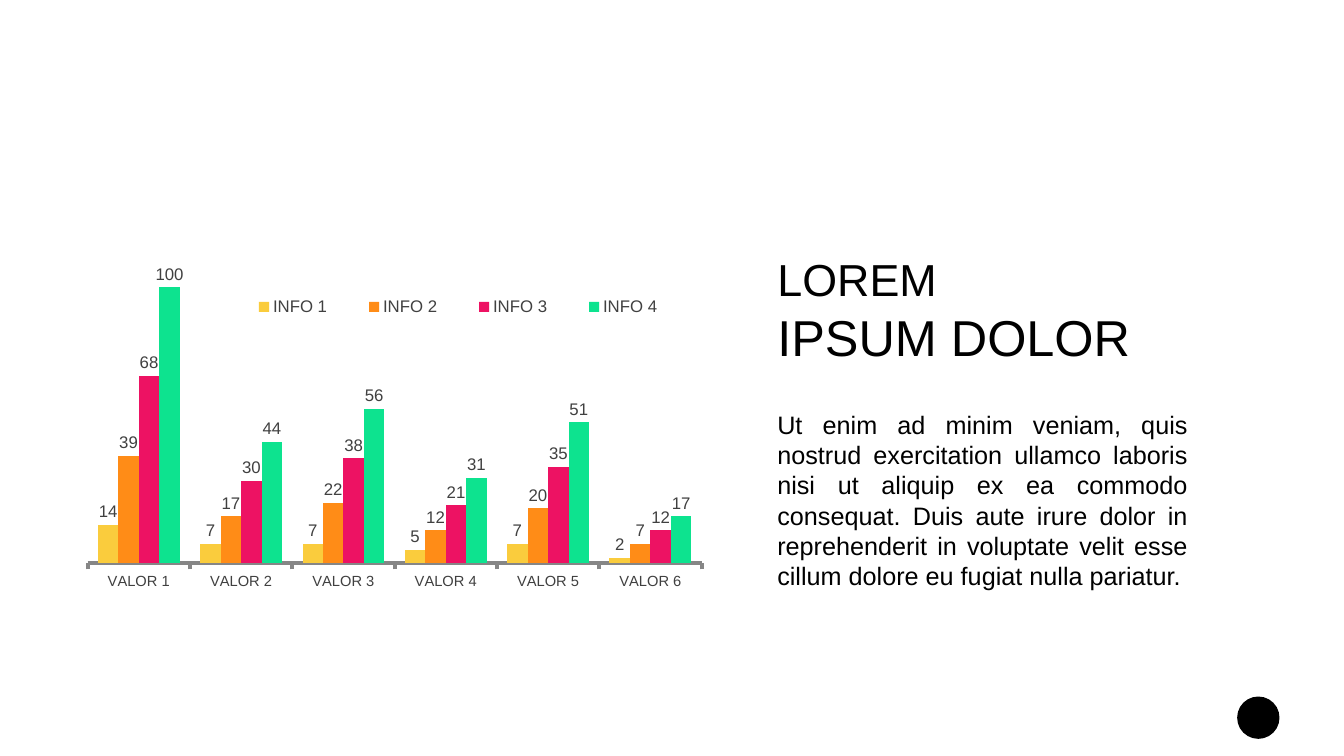
from dataclasses import dataclass

from lxml import etree
from pptx import Presentation
from pptx.chart.data import CategoryChartData
from pptx.dml.color import RGBColor
from pptx.enum.chart import (
    XL_CHART_TYPE,
    XL_LABEL_POSITION,
    XL_LEGEND_POSITION,
    XL_TICK_LABEL_POSITION,
    XL_TICK_MARK,
)
from pptx.enum.shapes import MSO_SHAPE
from pptx.enum.text import MSO_ANCHOR, MSO_AUTO_SIZE, PP_ALIGN
from pptx.oxml.ns import qn
from pptx.util import Emu, Pt

COLUMNS = XL_CHART_TYPE.COLUMN_CLUSTERED
OUTSIDE_END = XL_LABEL_POSITION.OUTSIDE_END
LEGEND_TOP = XL_LEGEND_POSITION.TOP
LABELS_LOW = XL_TICK_LABEL_POSITION.LOW
TICK_OUTSIDE = XL_TICK_MARK.OUTSIDE
TICK_NONE = XL_TICK_MARK.NONE
OVAL = MSO_SHAPE.OVAL
ANCHOR_TOP = MSO_ANCHOR.TOP
GROW = MSO_AUTO_SIZE.SHAPE_TO_FIT_TEXT
FIXED = MSO_AUTO_SIZE.NONE
LEFT = PP_ALIGN.LEFT
JUSTIFY = PP_ALIGN.JUSTIFY

EMU_PER_PX = 9144
FONT = "Arial"
BLACK = "000000"
CHART_TEXT = "404040"
AXIS_GRAY = "868686"
NUMBER_FORMAT = "#,##0"


@dataclass(frozen=True)
class Area:
    left: int
    top: int
    width: int
    height: int

    def emu(self) -> tuple[Emu, Emu, Emu, Emu]:
        return px(self.left), px(self.top), px(self.width), px(self.height)


@dataclass(frozen=True)
class TextBlock:
    area: Area
    lines: tuple[tuple[str, int], ...]
    align: PP_ALIGN
    auto_size: MSO_AUTO_SIZE


@dataclass(frozen=True)
class Series:
    name: str
    values: tuple[int, ...]
    color: str


TEXT_BLOCKS = (
    TextBlock(Area(763, 242, 391, 130), (("LOREM", 32), ("IPSUM DOLOR", 36)), LEFT, GROW),
    TextBlock(
        Area(763, 398, 423, 179),
        ((
            "Ut enim ad minim veniam, quis nostrud exercitation ullamco laboris nisi ut "
            "aliquip ex ea commodo consequat. Duis aute irure dolor in reprehenderit in "
            "voluptate velit esse cillum dolore eu fugiat nulla pariatur.",
            18,
        ),),
        JUSTIFY,
        FIXED,
    ),
)
CATEGORIES = tuple(f"VALOR {number}" for number in range(1, 7))
SERIES = (
    Series("INFO 1", (14, 7, 7, 5, 7, 2), "FACC3D"),
    Series("INFO 2", (39, 17, 22, 12, 20, 7), "FF8C17"),
    Series("INFO 3", (68, 30, 38, 21, 35, 12), "ED1263"),
    Series("INFO 4", (100, 44, 56, 31, 51, 17), "0DE38F"),
)
CHART_AREA = Area(76, 194, 631, 417)
PLOT_AREA = Area(87, 285, 609, 274)
LEGEND_AREA = Area(221, 288, 467, 33)
EMBLEM_AREA = Area(1227, 691, 42, 42)


def px(length: int) -> Emu:
    return Emu(length * EMU_PER_PX)


def rgb(color: str) -> RGBColor:
    return RGBColor.from_string(color)


def style_font(font, size: float, color: str) -> None:
    font.name = FONT
    font.size = Pt(size)
    font.color.rgb = rgb(color)


def add_text(page, block: TextBlock) -> None:
    box = page.shapes.add_textbox(*block.area.emu())
    frame = box.text_frame
    frame.word_wrap = True
    frame.auto_size = block.auto_size
    frame.vertical_anchor = ANCHOR_TOP
    frame.margin_left = frame.margin_right = px(8)
    frame.margin_top = frame.margin_bottom = px(8)
    frame.text = "\n".join(text for text, _ in block.lines)
    for para, (_, size) in zip(frame.paragraphs, block.lines):
        para.alignment = block.align
        for span in para.runs:
            style_font(span.font, size, BLACK)


def make_layout(area: Area, inner: bool):
    layout = etree.Element(qn("c:layout"))
    manual = etree.SubElement(layout, qn("c:manualLayout"))
    settings = [("layoutTarget", "inner")] if inner else []
    settings += [
        ("xMode", "edge"),
        ("yMode", "edge"),
        ("x", (area.left - CHART_AREA.left) / CHART_AREA.width),
        ("y", (area.top - CHART_AREA.top) / CHART_AREA.height),
        ("w", area.width / CHART_AREA.width),
        ("h", area.height / CHART_AREA.height),
    ]
    for name, value in settings:
        etree.SubElement(manual, qn(f"c:{name}")).set("val", str(value))
    return layout


def place(parent, index: int, area: Area, inner: bool) -> None:
    for layout in parent.findall(qn("c:layout")):
        parent.remove(layout)
    parent.insert(index, make_layout(area, inner))


def style_axes(chart) -> None:
    value_axis = chart.value_axis
    value_axis.minimum_scale = 0
    value_axis.maximum_scale = 100
    value_axis.has_major_gridlines = False
    value_axis.visible = False
    category_axis = chart.category_axis
    category_axis.has_major_gridlines = False
    category_axis.major_tick_mark = TICK_OUTSIDE
    category_axis.minor_tick_mark = TICK_NONE
    category_axis.tick_label_position = LABELS_LOW
    category_axis.format.line.color.rgb = rgb(AXIS_GRAY)
    category_axis.format.line.width = Pt(2.75)
    style_font(category_axis.tick_labels.font, 10.5, CHART_TEXT)


def add_column_chart(page) -> None:
    data = CategoryChartData(number_format=NUMBER_FORMAT)
    data.categories = CATEGORIES
    for series in SERIES:
        data.add_series(series.name, series.values)
    chart = page.shapes.add_chart(COLUMNS, *CHART_AREA.emu(), data).chart
    chart.has_title = False
    style_font(chart.font, 12, CHART_TEXT)
    style_axes(chart)
    plot = chart.plots[0]
    plot.gap_width = 100
    plot.overlap = 0
    plot.vary_by_categories = False
    for drawn, series in zip(plot.series, SERIES):
        drawn.invert_if_negative = False
        drawn.format.fill.solid()
        drawn.format.fill.fore_color.rgb = rgb(series.color)
        labels = drawn.data_labels
        labels.show_value = True
        labels.position = OUTSIDE_END
        labels.number_format = NUMBER_FORMAT
        labels.number_format_is_linked = False
        style_font(labels.font, 12, CHART_TEXT)
    chart.has_legend = True
    legend = chart.legend
    legend.position = LEGEND_TOP
    legend.include_in_layout = False
    style_font(legend.font, 12, CHART_TEXT)
    chart_xml = chart.element.find(qn("c:chart"))
    place(chart_xml.find(qn("c:plotArea")), 0, PLOT_AREA, True)
    place(chart_xml.find(qn("c:legend")), 1, LEGEND_AREA, False)


def add_emblem(page) -> None:
    emblem = page.shapes.add_shape(OVAL, *EMBLEM_AREA.emu())
    emblem.shadow.inherit = False
    emblem.fill.solid()
    emblem.fill.fore_color.rgb = rgb(BLACK)
    emblem.line.fill.background()


def main() -> None:
    deck = Presentation()
    deck.slide_width = px(1333)
    deck.slide_height = px(750)
    page = deck.slides.add_slide(deck.slide_layouts[6])
    for block in TEXT_BLOCKS:
        add_text(page, block)
    add_column_chart(page)
    add_emblem(page)
    deck.save("out.pptx")


if __name__ == "__main__":
    main()
